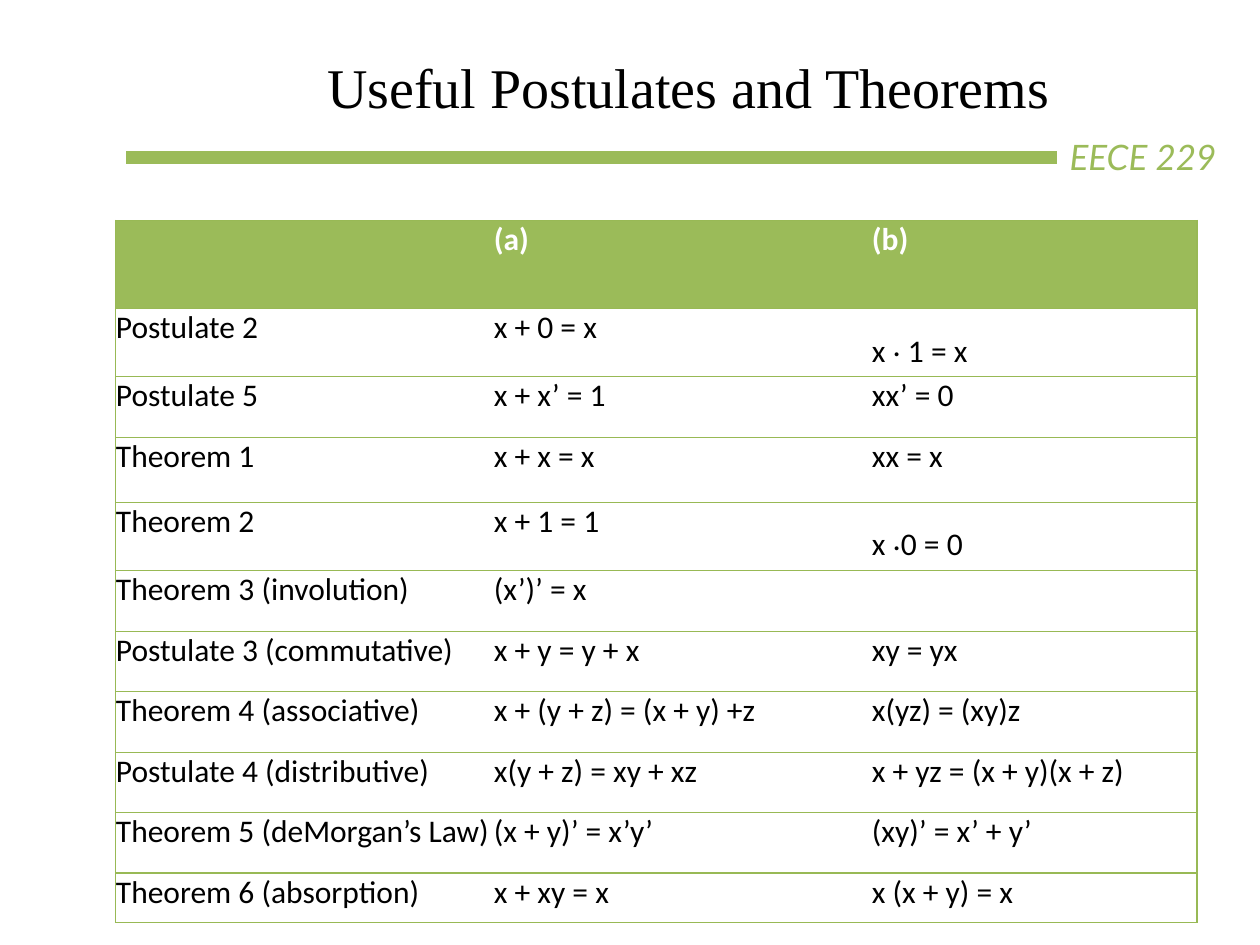
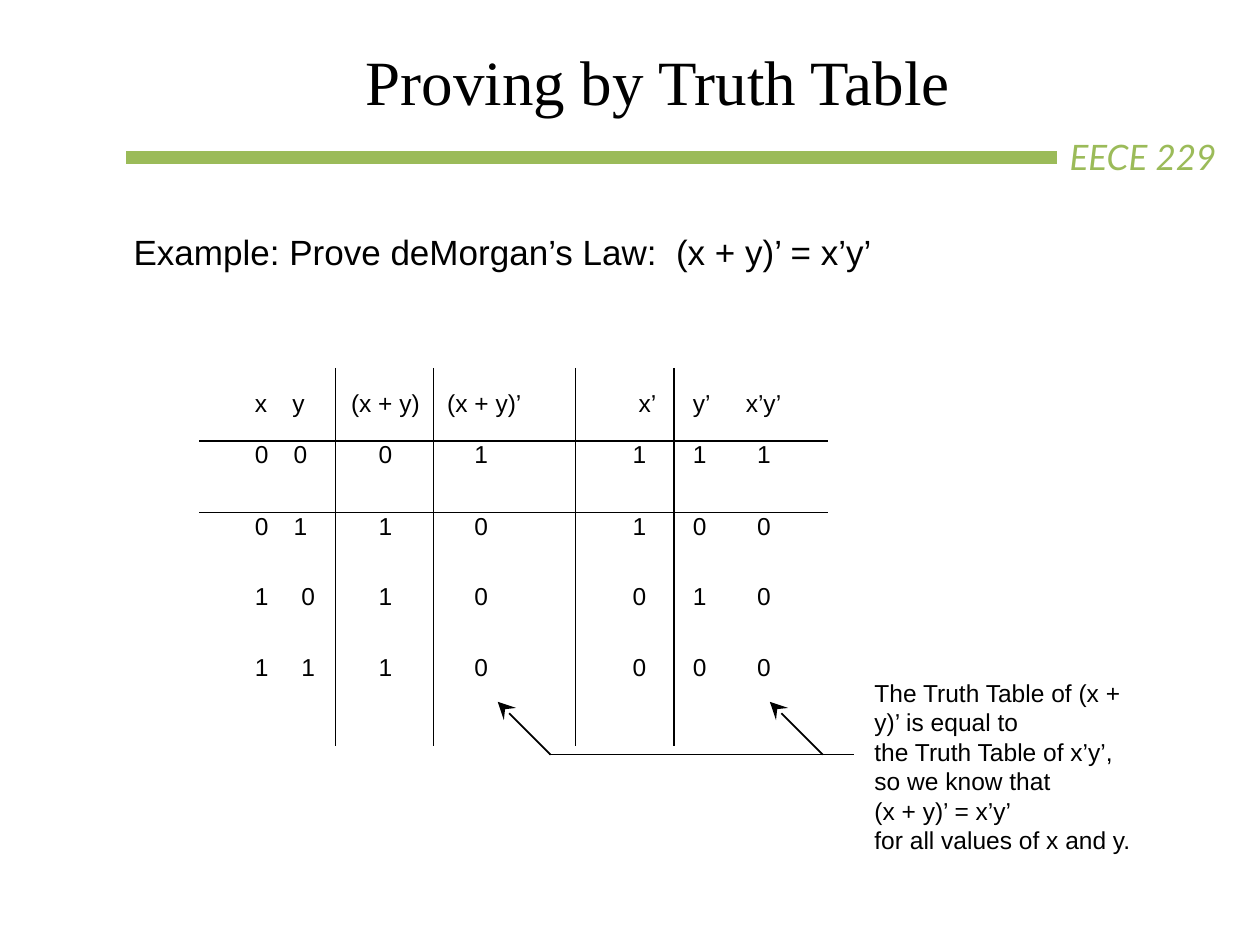
from dataclasses import dataclass

from lxml import etree
from pptx import Presentation
from pptx.dml.color import RGBColor as Rgb
from pptx.enum.shapes import MSO_CONNECTOR as Connector
from pptx.enum.text import MSO_ANCHOR as Anchor, PP_ALIGN as Align
from pptx.oxml.ns import qn
from pptx.util import Inches, Pt


@dataclass(frozen=True)
class Theme:
    accent: Rgb = Rgb(0x9B, 0xBB, 0x59)
    grid: Rgb = Rgb(0x98, 0xB9, 0x55)
    ink: Rgb = Rgb(0, 0, 0)
    paper: Rgb = Rgb(255, 255, 255)
    title_font: str = "Times New Roman"
    course_font: str = "Lato"
    law_font: str = "Calibri"
    proof_font: str = "Arial"
    lead_size: int = 20
    law_size: int = 18
    dot_size: int = 32
    proof_size: int = 14
    hairline: float = 0.75
    band: int = 8


theme = Theme()
PLAIN_TABLE = "{2D5ABB26-0587-4C30-8999-92F81FD0307C}"


def add_span(para, text, font, size, color=theme.ink, bold=False):
    span = para.add_run()
    span.text = text
    span.font.name, span.font.size = font, Pt(size)
    span.font.color.rgb, span.font.bold = color, bold
    return span


def add_line(page, start, end, color, width, arrow=False):
    line = page.shapes.add_connector(
        Connector.STRAIGHT, *[Inches(value) for value in (*start, *end)])
    line.line.color.rgb, line.line.width = color, Pt(width)
    if arrow:
        etree.SubElement(line.line._get_or_add_ln(), qn("a:tailEnd"), type="stealth", w="lg", len="lg")
    etree.SubElement(line._element.spPr, qn("a:effectLst"))


deck = Presentation()
deck.slide_width, deck.slide_height = Inches(10), Inches(7.5)

# Title, green band and course name on every page
headings = [
    ("Useful Postulates and Theorems", 32, (0.33, 0.25, 9, 0.7), 1.27),
    ("Proving by Truth Table", 36, (-0.34, 0.17, 9, 0.77), 2.12),
]
for heading, size, place, indent in headings:
    page = deck.slides.add_slide(deck.slide_layouts[5])
    add_line(page, (1, 1.25), (8.39, 1.25), theme.accent, theme.band)
    box = page.shapes.add_textbox(Inches(8.39), Inches(1.03), Inches(1.6), Inches(0.44))
    course = add_span(box.text_frame.paragraphs[0], "EECE 229", theme.course_font,
                      theme.lead_size, theme.accent)
    course.font.italic = True

    title = page.shapes.title
    title.left, title.top, title.width, title.height = [Inches(value) for value in place]
    frame = title.text_frame
    frame.vertical_anchor = Anchor.MIDDLE
    frame.margin_left, frame.margin_top = Inches(indent), Inches(0.16)
    frame.margin_right = frame.margin_bottom = 0
    frame.paragraphs[0].alignment = Align.CENTER
    add_span(frame.paragraphs[0], heading, theme.title_font, size)

laws_page, proof_page = deck.slides

# Table contents
laws = [
    ("", "(a)", "(b)"),
    ("Postulate 2", "x + 0 = x", "x . 1 = x"),
    ("Postulate 5", "x + x’ = 1", "xx’ = 0"),
    ("Theorem 1", "x + x = x", "xx = x"),
    ("Theorem 2", "x + 1 = 1", "x .0 = 0"),
    ("Theorem 3 (involution)", "(x’)’ = x", ""),
    ("Postulate 3 (commutative)", "x + y = y + x", "xy = yx"),
    ("Theorem 4 (associative)", "x + (y + z) = (x + y) +z", "x(yz) = (xy)z"),
    ("Postulate 4 (distributive)", "x(y + z) = xy + xz", "x + yz = (x + y)(x + z)"),
    ("Theorem 5 (deMorgan’s Law)", "(x + y)’ = x’y’", "(xy)’ = x’ + y’"),
    ("Theorem 6 (absorption)", "x + xy = x", "x (x + y) = x"),
]
truth = [("x", "y", "(x + y)", "(x + y)’", "x’", "y’", "x’y’")]
for x, y in [(0, 0), (0, 1), (1, 0), (1, 1)]:
    either = x | y
    truth.append((x, y, either, 1 - either, 1 - x, 1 - y, (1 - x) & (1 - y)))

# Both tables: size, plain style, cell borders
tables = [
    (laws_page, laws, (0.92, 1.75), (3, 3, 2.58),
     (0.7, 0.54, 0.48, 0.52, 0.54, *[0.48] * 5, 0.39),
     theme.grid, range(12), (0, 3)),
    (proof_page, truth, (1.58, 2.92), (0.64, 0.44, 0.78, 1.13, 0.78, 0.43, 0.79),
     (0.58, 0.57, 0.56, 0.56, 0.73), theme.ink, (1, 2), (2, 3, 4, 5)),
]
grids = []
for page, rows, (left, top), widths, heights, color, across, down in tables:
    holder = page.shapes.add_table(len(heights), len(widths), Inches(left), Inches(top),
                                   Inches(sum(widths)), Inches(sum(heights)))
    grid = holder.table
    grid.first_row = grid.horz_banding = False
    grid._tbl.tblPr.find(qn("a:tableStyleId")).text = PLAIN_TABLE
    for column, width in zip(grid.columns, widths):
        column.width = Inches(width)
    for row, height in zip(grid.rows, heights):
        row.height = Inches(height)
    for r in range(len(heights)):
        for c in range(len(widths)):
            cell = grid.cell(r, c)
            cell.margin_left = cell.margin_right = cell.margin_top = cell.margin_bottom = 0
            sides = {"L": c in down, "R": c + 1 in down, "T": r in across, "B": r + 1 in across}
            for side, drawn in sides.items():
                edge = etree.SubElement(cell._tc.get_or_add_tcPr(), qn("a:ln" + side),
                                        w=str(Pt(theme.hairline)))
                if drawn:
                    fill = etree.SubElement(edge, qn("a:solidFill"))
                    etree.SubElement(fill, qn("a:srgbClr"), val=str(color))
                else:
                    etree.SubElement(edge, qn("a:noFill"))
            cell.fill.background()
    grids.append(grid)
law_grid, truth_grid = grids

# Postulates and theorems
for r, row in enumerate(laws):
    header = r == 0
    for c, text in enumerate(row):
        cell = law_grid.cell(r, c)
        if header:
            cell.fill.solid()
            cell.fill.fore_color.rgb = theme.accent
        para = cell.text_frame.paragraphs[0]
        para.font.size = Pt(theme.law_size)
        before, dot, after = text.partition(".")
        for part in (before, dot, after):
            if part:
                span = add_span(para, part, theme.law_font,
                                theme.dot_size if part == "." else theme.law_size,
                                theme.paper if header else theme.ink, header)
                if part == ".":
                    span.font._element.set("baseline", "10000")

# Example sentence
box = proof_page.shapes.add_textbox(Inches(1.06), Inches(1.83), Inches(8.05), Inches(0.99))
frame = box.text_frame
frame.word_wrap = True
frame.margin_left = frame.margin_right = frame.margin_top = frame.margin_bottom = 0
add_span(frame.paragraphs[0], "Example: Prove deMorgan’s Law:  (x + y)’ = x’y’",
         theme.proof_font, theme.lead_size)

# Truth table: alignment with the side margins of heads and of digits
columns = [
    (Align.RIGHT, (0, 0.1), (0, 0.09)),
    (Align.LEFT, (0.1, 0), (0.11, 0)),
    (Align.CENTER, (0.02, 0), (0.02, 0)),
    (Align.CENTER, (0, 0.32), (0, 0.37)),
    (Align.RIGHT, (0, 0.14), (0, 0.22)),
    (Align.LEFT, (0.15, 0), (0.15, 0)),
    (Align.LEFT, (0.14, 0), (0.23, 0)),
]
for r, row in enumerate(truth):
    for c, (value, (align, head, digit)) in enumerate(zip(row, columns)):
        cell = truth_grid.cell(r, c)
        left, right = digit if r else head
        if c == 1 and r > 2:
            align, left, right = Align.RIGHT, 0, 0.16
        cell.margin_left, cell.margin_right = Inches(left), Inches(right)
        cell.margin_top = Inches(0 if r else 0.18)
        para = cell.text_frame.paragraphs[0]
        para.alignment = align
        add_span(para, str(value), theme.proof_font, theme.proof_size)

# Arrows from the conclusion to the two matching columns
add_line(proof_page, (4.36, 5.99), (6.78, 5.99), theme.ink, theme.hairline)
for tip in (3.95, 6.11):
    add_line(proof_page, (tip + 0.42, 5.99), (tip, 5.57), theme.ink, 1, arrow=True)

# Conclusion
conclusion = [
    "The Truth Table of (x + y)’ is equal to",
    "the Truth Table of x’y’, so we know that",
    "(x + y)’ = x’y’",
    "for all values of x and y.",
]
box = proof_page.shapes.add_textbox(Inches(6.94), Inches(5.38), Inches(2.15), Inches(1.41))
frame = box.text_frame
frame.word_wrap = True
frame.margin_left = frame.margin_right = frame.margin_top = frame.margin_bottom = 0
for index, text in enumerate(conclusion):
    para = frame.add_paragraph() if index else frame.paragraphs[0]
    add_span(para, text, theme.proof_font, theme.proof_size)

deck.save("out.pptx")
